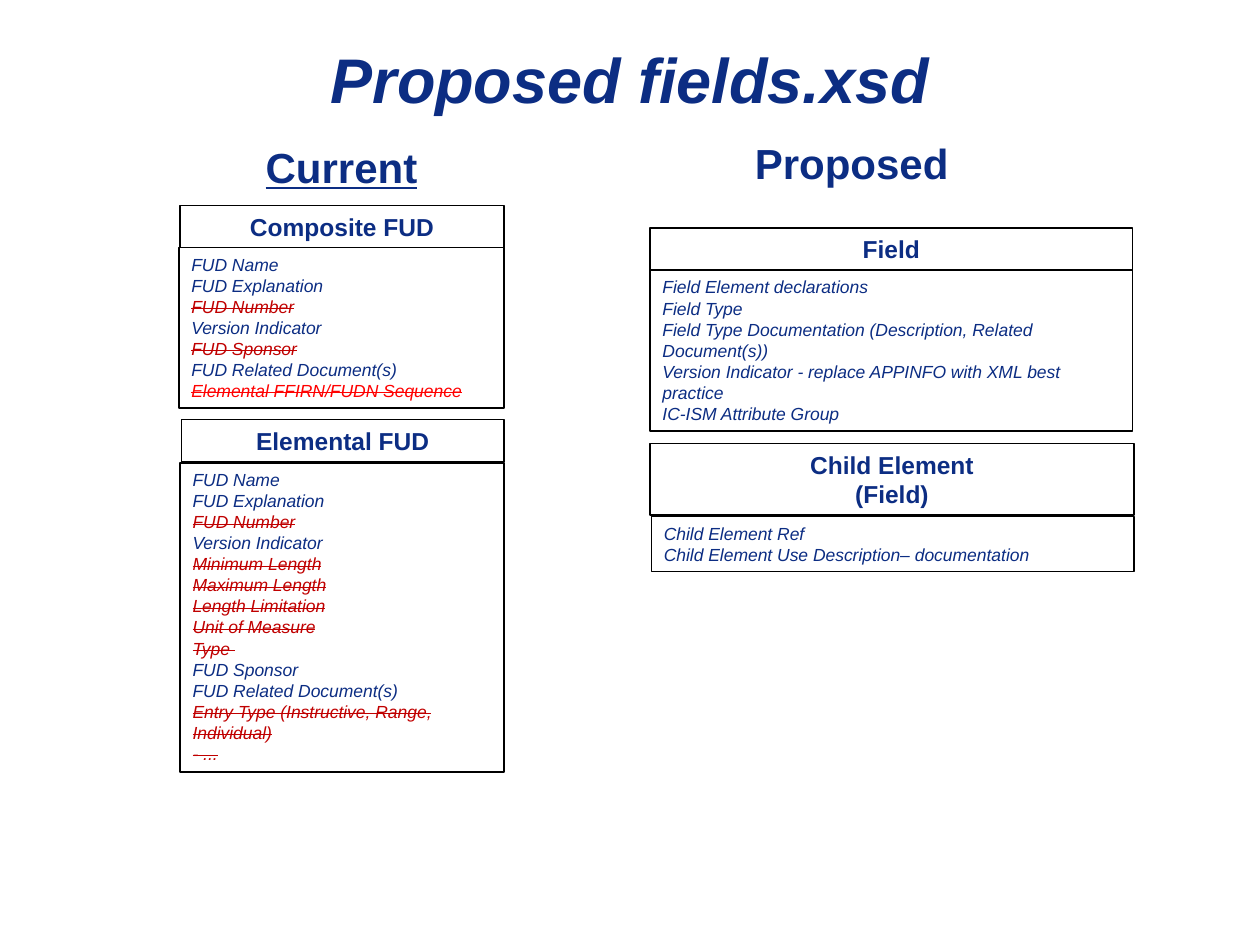
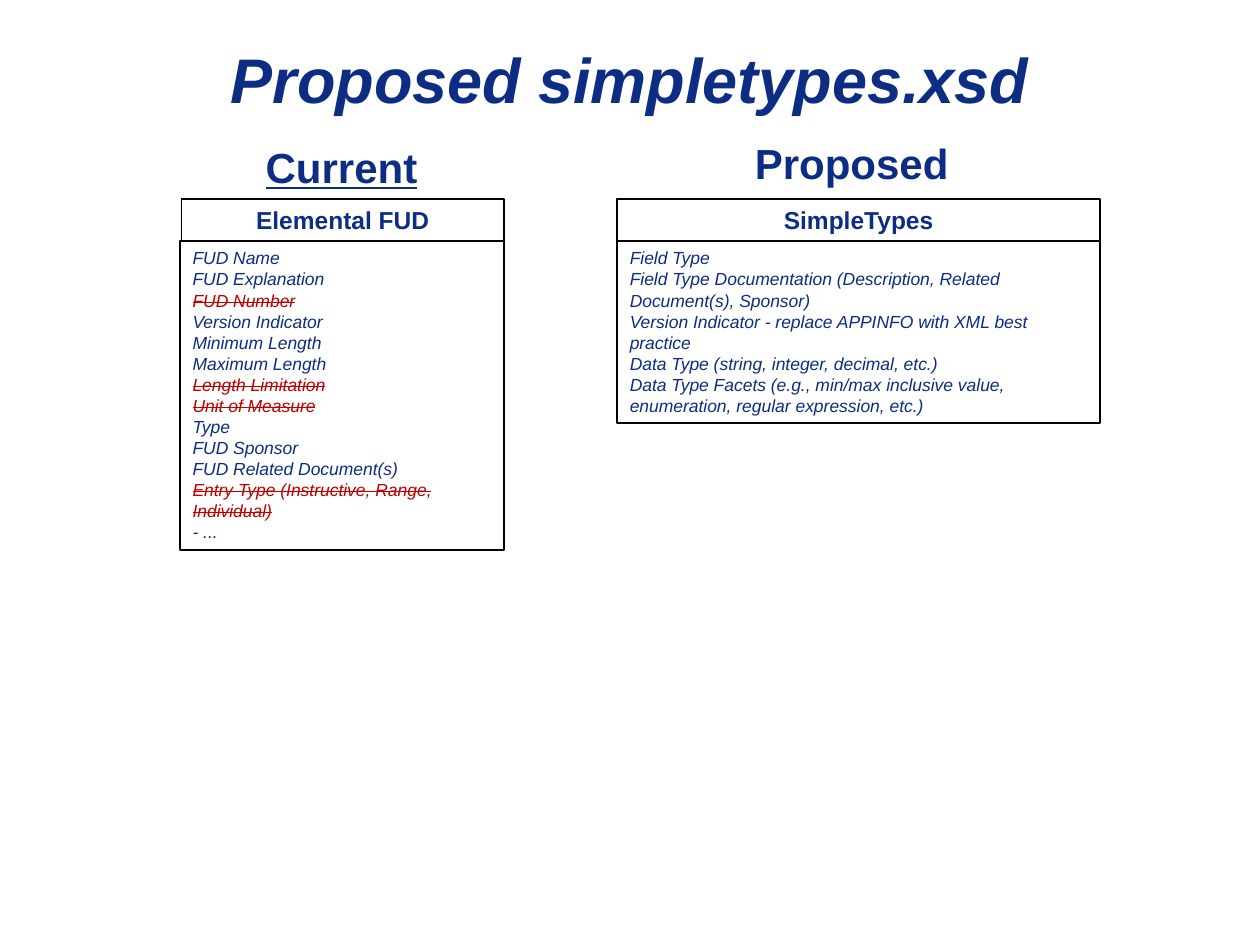
from pptx import Presentation
from pptx.dml.color import RGBColor
from pptx.enum.shapes import MSO_SHAPE
from pptx.enum.text import MSO_ANCHOR, MSO_AUTO_SIZE, PP_ALIGN
from pptx.util import Inches, Pt

NAVY = RGBColor(0x0C, 0x2D, 0x83)
DARK_RED = RGBColor(0xC0, 0x00, 0x00)
RED = RGBColor(0xFF, 0x00, 0x00)
BLACK = RGBColor(0x00, 0x00, 0x00)

COLUMNS, ROWS = 100, 75
INSETS = 1
HEAD_LINE = 2.35
FIELD_LINE = 1.68

COMPOSITE_FIELDS = [
    "FUD Name", "FUD Explanation", "FUD Number", "Version Indicator",
    "FUD Sponsor", "FUD Related Document(s)", "Elemental FFIRN/FUDN Sequence",
]
ELEMENTAL_FIELDS = [
    "FUD Name", "FUD Explanation", "FUD Number", "Version Indicator",
    "Minimum Length", "Maximum Length", "Length Limitation",
    "Unit of Measure", "Type ", "FUD Sponsor", "FUD Related Document(s)",
    "Entry Type (Instructive, Range, Individual)", "- ...",
]
FIELD_FIELDS = [
    "Field Element declarations", "Field Type",
    "Field Type Documentation (Description, Related Document(s))",
    "Version Indicator - replace APPINFO with XML best practice",
    "IC-ISM Attribute Group",
]
CHILD_FIELDS = ["Child Element Ref", "Child Element Use Description– documentation"]
SIMPLE_TYPE_FIELDS = [
    "Field Type",
    "Field Type Documentation (Description, Related Document(s), Sponsor)",
    "Version Indicator - replace APPINFO with XML best practice",
    "Data Type (string, integer, decimal, etc.)",
    "Data Type Facets (e.g., min/max inclusive value, enumeration, "
    "regular expression, etc.)",
]

COMPOSITE_RETIRED = {
    "FUD Number": DARK_RED,
    "FUD Sponsor": DARK_RED,
    "Elemental FFIRN/FUDN Sequence": RED,
}
SIMPLE_TYPES_RETIRED = dict.fromkeys(
    ["FUD Number", "Length Limitation", "Unit of Measure",
     "Entry Type (Instructive, Range, Individual)"], DARK_RED)
FIELDS_RETIRED = SIMPLE_TYPES_RETIRED | dict.fromkeys(
    ["Minimum Length", "Maximum Length", "Type ", "- ..."], DARK_RED)


class SchemaDeck:
    font_name = "Arial"

    def __init__(self):
        self.deck = Presentation()
        self.deck.slide_width = Inches(10)
        self.deck.slide_height = Inches(7.5)
        self.page = None

    def place(self, left, top, width, height):
        column = self.deck.slide_width / COLUMNS
        row = self.deck.slide_height / ROWS
        return (round(left * column), round(top * row),
                round(width * column), round(height * row))

    def add_span(self, para, text, size, color=NAVY, bold=False, italic=False,
                 underline=False, strike=False):
        span = para.add_run()
        span.text = text
        font = span.font
        font.name = self.font_name
        font.size = Pt(size)
        font.color.rgb = color
        font.bold = bold
        font.italic = italic
        font.underline = underline
        if strike:
            span._r.get_or_add_rPr().set("strike", "sngStrike")

    def heading(self, area, text, size, **style):
        box = self.page.shapes.add_textbox(*self.place(*area))
        frame = box.text_frame
        frame.word_wrap = True
        frame.vertical_anchor = MSO_ANCHOR.MIDDLE
        para = frame.paragraphs[0]
        para.alignment = PP_ALIGN.CENTER
        self.add_span(para, text, size, bold=True, **style)

    def add_page(self, title):
        self.page = self.deck.slides.add_slide(self.deck.slide_layouts[6])
        self.heading((5, 0.7, 90, 11), title, 36, italic=True)
        self.heading((5, 9.7, 44.2, 7), "Current", 24, underline=True)
        self.heading((45.5, 9.4, 44.2, 7), "Proposed", 24)

    def panel(self, group, area, lines, size, align, retired, **style):
        box = group.shapes.add_shape(MSO_SHAPE.RECTANGLE, *self.place(*area))
        box.shadow.inherit = False
        box.fill.background()
        box.line.color.rgb = BLACK
        box.line.width = Pt(1)
        frame = box.text_frame
        frame.word_wrap = True
        frame.auto_size = MSO_AUTO_SIZE.SHAPE_TO_FIT_TEXT
        frame.vertical_anchor = MSO_ANCHOR.TOP
        for index, text in enumerate(lines):
            para = frame.add_paragraph() if index else frame.paragraphs[0]
            para.alignment = align
            self.add_span(para, text, size, retired.get(text, NAVY),
                          strike=text in retired, **style)

    def card(self, head_left, body_left, right, top, names, fields,
             field_lines, retired=None, seam=0):
        group = self.page.shapes.add_group_shape()
        head_height = INSETS + HEAD_LINE * len(names)
        body_top = top + head_height + seam
        body_height = INSETS + FIELD_LINE * field_lines
        self.panel(group, (head_left, top, right - head_left, head_height),
                   names, 14, PP_ALIGN.CENTER, {}, bold=True)
        self.panel(group, (body_left, body_top, right - body_left, body_height),
                   fields, 10, PP_ALIGN.LEFT, retired or {}, italic=True)


def main():
    schema = SchemaDeck()

    schema.add_page("Proposed fields.xsd")
    schema.card(14.3, 14.2, 40, 16.3, ["Composite FUD"], COMPOSITE_FIELDS, 7,
                COMPOSITE_RETIRED)
    schema.card(14.4, 14.3, 40, 33.3, ["Elemental FUD"], ELEMENTAL_FIELDS, 14,
                FIELDS_RETIRED, seam=0.1)
    schema.card(51.6, 51.7, 90, 35.2, ["Child Element", "(Field)"],
                CHILD_FIELDS, 2, seam=0.1)
    schema.card(51.6, 51.6, 89.9, 18.1, ["Field"], FIELD_FIELDS, 7)

    schema.add_page("Proposed simpletypes.xsd")
    schema.card(14.4, 14.3, 40, 15.8, ["Elemental FUD"], ELEMENTAL_FIELDS, 14,
                SIMPLE_TYPES_RETIRED)
    schema.card(49, 49, 87.3, 15.8, ["SimpleTypes"], SIMPLE_TYPE_FIELDS, 8)

    schema.deck.save("out.pptx")


if __name__ == "__main__":
    main()
